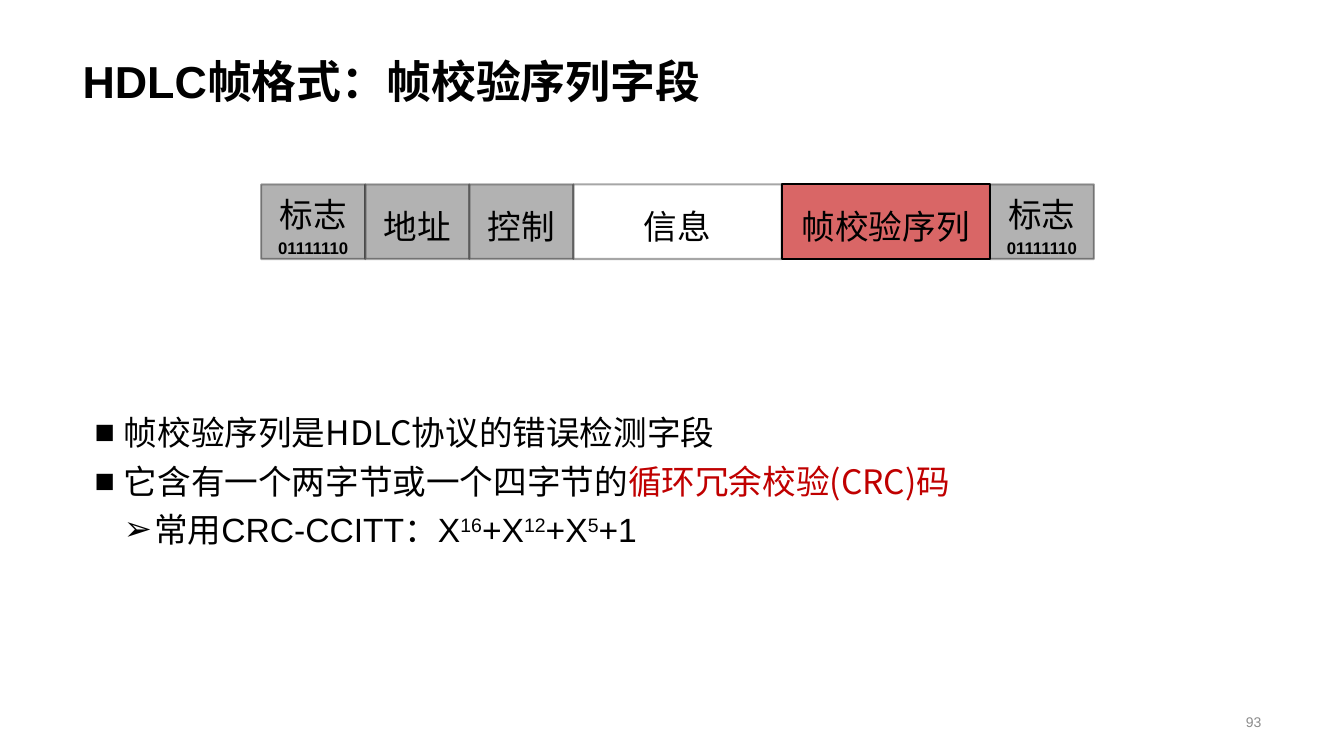
from dataclasses import dataclass
from typing import Optional

import pptx
import pptx.dml.color
import pptx.enum.shapes
import pptx.enum.text
import pptx.oxml.ns
import pptx.util
from lxml import etree

RGBColor = pptx.dml.color.RGBColor
Inches = pptx.util.Inches
Pt = pptx.util.Pt
Anchor = pptx.enum.text.MSO_ANCHOR
Align = pptx.enum.text.PP_ALIGN

BLACK = RGBColor(0x00, 0x00, 0x00)
GRAY = RGBColor(0x80, 0x80, 0x80)
RED = RGBColor(0xC0, 0x00, 0x00)
PAGE_GRAY = RGBColor(0x8C, 0x8C, 0x8C)

LATIN = "Arial"
CHINESE = "Noto Sans CJK SC"

FRAME_LEFT, FRAME_TOP = 2.59, 1.83
FRAME_WIDTH, FRAME_COLUMNS = 8.26, 8
COLUMN_WIDTH, ROW_HEIGHT = FRAME_WIDTH / FRAME_COLUMNS, 0.74
LINE_SPACING = 1.2


@dataclass
class Span:
    text: str
    size: float = 24
    font: str = LATIN
    color: RGBColor = BLACK
    bold: bool = False
    superscript: bool = False


@dataclass
class Field:
    """A frame field, placed by column and measured in columns."""
    column: int
    columns: int
    spans: list[Span]
    fill: Optional[RGBColor] = GRAY
    line_opacity: int = 34


@dataclass
class Bullet:
    symbol: str
    level: int
    margin: float
    hanging: float
    spans: list[Span]


FLAG = [Span("标志"), Span("01111110", size=12, bold=True)]
FIELDS = [
    Field(0, 1, FLAG),
    Field(1, 1, [Span("地址")]),
    Field(2, 1, [Span("控制")]),
    Field(3, 2, [Span("信息")], fill=None),
    Field(7, 1, FLAG),
    Field(5, 2, [Span("帧校验序列")], fill=RED, line_opacity=100),
]

BULLETS = [
    Bullet("■", 0, 0.29, 0.29, [Span("帧校验序列是HDLC协议的错误检测字段", font=CHINESE)]),
    Bullet("■", 0, 0.29, 0.29, [
        Span("它含有一个两字节或一个四字节的", font=CHINESE),
        Span("循环冗余校验(CRC)码", font=CHINESE, color=RED),
    ]),
    Bullet("➢", 1, 0.59, 0.3, [
        Span("常用CRC-CCITT：X"), Span("16", superscript=True),
        Span("+X"), Span("12", superscript=True),
        Span("+X"), Span("5", superscript=True), Span("+1"),
    ]),
]


def add_spans(para, spans: list[Span]) -> None:
    for span in spans:
        run = para.add_run()
        run.text = span.text
        run.font.size = Pt(span.size)
        run.font.name = span.font
        run.font.bold = span.bold
        run.font.color.rgb = span.color
        properties = run._r.get_or_add_rPr()
        east_asian = etree.SubElement(properties, pptx.oxml.ns.qn("a:ea"))
        east_asian.set("typeface", CHINESE)
        if span.superscript:
            properties.set("baseline", "30000")


def set_opacity(parent, percent: int) -> None:
    """Add an alpha value to the solid fill that is a child of the element."""
    fill = parent.find(pptx.oxml.ns.qn("a:solidFill"))
    alpha = etree.SubElement(fill[0], pptx.oxml.ns.qn("a:alpha"))
    alpha.set("val", str(percent * 1000))


def add_text(page, left: float, top: float, width: float, height: float, anchor):
    box = page.shapes.add_textbox(Inches(left), Inches(top), Inches(width), Inches(height))
    frame = box.text_frame
    frame.word_wrap = True
    frame.vertical_anchor = anchor
    return frame


def add_field(page, field: Field) -> None:
    box = page.shapes.add_shape(
        pptx.enum.shapes.MSO_SHAPE.RECTANGLE,
        Inches(FRAME_LEFT + field.column * COLUMN_WIDTH), Inches(FRAME_TOP),
        Inches(field.columns * COLUMN_WIDTH), Inches(ROW_HEIGHT))
    box.shadow.inherit = False
    properties = box._element.spPr
    if field.fill is None:
        box.fill.background()
    else:
        box.fill.solid()
        box.fill.fore_color.rgb = field.fill
        set_opacity(properties, 60)
    box.line.width = Pt(1.5)
    box.line.color.rgb = BLACK
    set_opacity(properties.find(pptx.oxml.ns.qn("a:ln")), field.line_opacity)
    box.text_frame.word_wrap = True
    box.text_frame.vertical_anchor = Anchor.MIDDLE
    para = box.text_frame.paragraphs[0]
    para.alignment = Align.CENTER
    para.line_spacing = LINE_SPACING
    add_spans(para, field.spans)


def add_bullet(para, bullet: Bullet) -> None:
    para.level = bullet.level
    para.line_spacing = LINE_SPACING
    properties = para._p.get_or_add_pPr()
    properties.set("marL", str(Inches(bullet.margin)))
    properties.set("indent", str(-Inches(bullet.hanging)))
    font = etree.SubElement(properties, pptx.oxml.ns.qn("a:buFont"))
    font.set("typeface", LATIN)
    symbol = etree.SubElement(properties, pptx.oxml.ns.qn("a:buChar"))
    symbol.set("char", bullet.symbol)
    add_spans(para, bullet.spans)


def main() -> None:
    deck = pptx.Presentation()
    deck.slide_width, deck.slide_height = Inches(13.33), Inches(7.5)
    page = deck.slides.add_slide(deck.slide_layouts[6])

    title = add_text(page, 0.72, 0.14, 11.88, 0.98, Anchor.BOTTOM)
    add_spans(title.paragraphs[0], [Span("HDLC帧格式：帧校验序列字段", size=32, bold=True)])

    body = add_text(page, 0.84, 3.96, 11.88, 1.68, Anchor.TOP)
    for index, bullet in enumerate(BULLETS):
        add_bullet(body.add_paragraph() if index else body.paragraphs[0], bullet)

    number = add_text(page, 11.73, 7.01, 0.88, 0.3, Anchor.MIDDLE)
    number.paragraphs[0].alignment = Align.RIGHT
    add_spans(number.paragraphs[0], [Span("93", size=10, color=PAGE_GRAY)])

    for field in FIELDS:
        add_field(page, field)

    deck.save("out.pptx")


if __name__ == "__main__":
    main()
